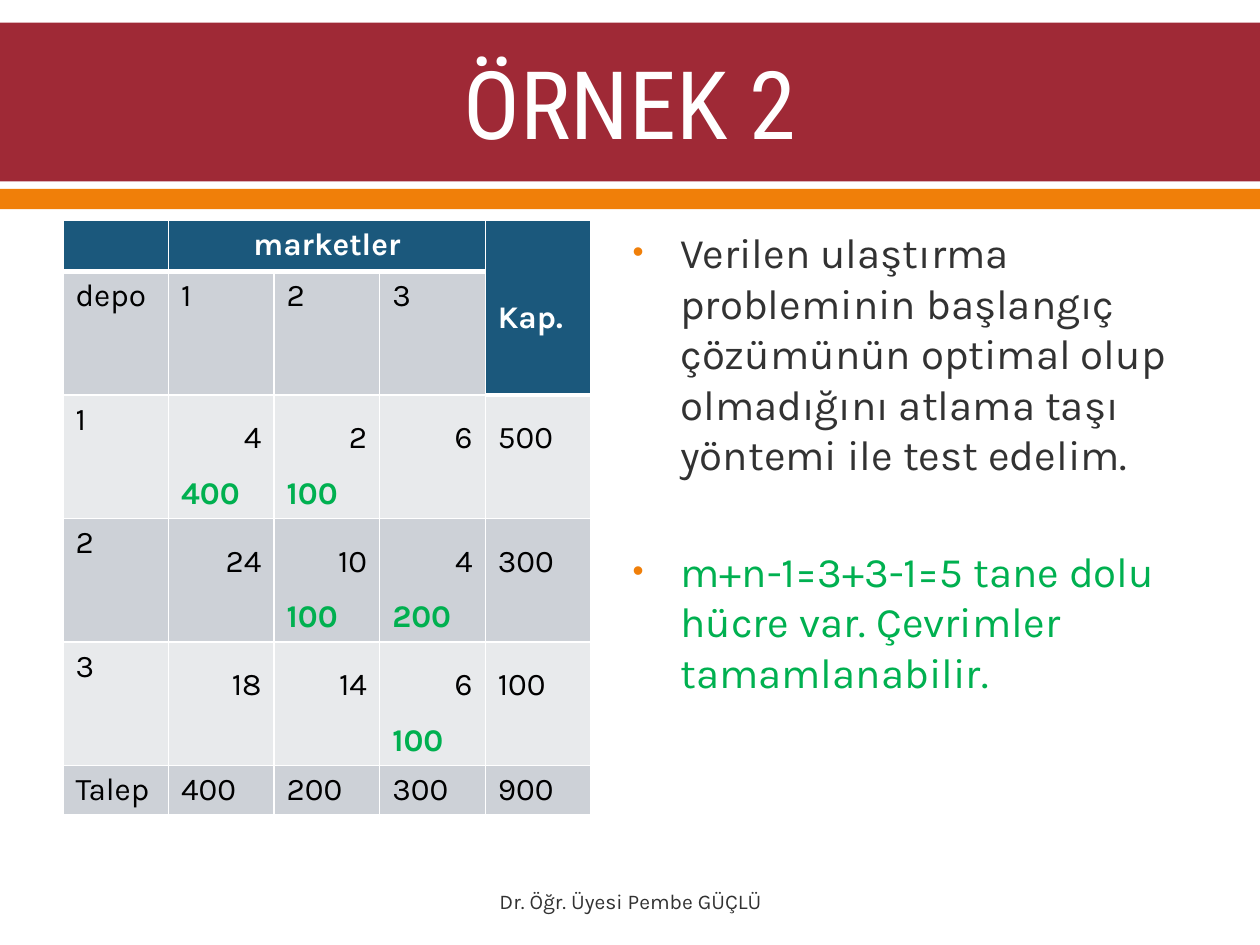
from collections import namedtuple
from dataclasses import dataclass

from lxml import etree
from pptx import Presentation
from pptx import util as u
from pptx.dml import color
from pptx.enum import shapes, text
from pptx.oxml import ns

Box = namedtuple("Box", "left top width height")


@dataclass(frozen=True)
class Theme:
    heading_font: str = "Roboto Condensed"
    body_font: str = "Karla"
    title_size: int = 54
    body_size: int = 24
    table_size: int = 18
    footer_size: int = 12
    white: str = "FFFFFF"
    black: str = "000000"
    dark: str = "323232"
    red: str = "9F2936"
    orange: str = "F07F09"
    blue: str = "1B587C"
    green: str = "00B050"
    bands: tuple = ("E8EAEC", "CDD1D7")


THEME = Theme()
LEFT, CENTER, RIGHT = text.PP_ALIGN.LEFT, text.PP_ALIGN.CENTER, text.PP_ALIGN.RIGHT

COSTS = [[4, 2, 6], [24, 10, 4], [18, 14, 6]]
SHIPMENTS = [[400, 100, None], [None, 100, 200], [None, None, 100]]
CAPACITIES = [500, 300, 100]
DEMANDS = [400, 200, 300]
REMARKS = [
    ("Verilen ulaştırma probleminin başlangıç çözümünün optimal olup "
     "olmadığını atlama taşı yöntemi ile test edelim.", THEME.dark, 0),
    ("m+n-1=3+3-1=5 tane dolu hücre var. Çevrimler tamamlanabilir.",
     THEME.green, 38),
]


def inches(*values):
    return Box(*(u.Inches(value) for value in values))


def rgb(value):
    return color.RGBColor.from_string(value)


def move(shape, box):
    shape.left, shape.top, shape.width, shape.height = box


def add_span(para, words, size, tint, font=THEME.body_font, bold=False):
    span = para.add_run()
    span.text = str(words)
    span.font.name = font
    span.font.size = u.Pt(size)
    span.font.bold = bold
    span.font.color.rgb = rgb(tint)


def add_bars(page, bars):
    for order, (box, tint) in enumerate(bars):
        bar = page.shapes.add_shape(shapes.MSO_SHAPE.RECTANGLE, *box)
        bar.shadow.inherit = False
        bar.fill.solid()
        bar.fill.fore_color.rgb = rgb(tint)
        bar.line.fill.background()
        page.shapes._spTree.insert(2 + order, bar._element)


def fill_title(page, box):
    title = page.shapes.title
    move(title, box)
    frame = title.text_frame
    frame.auto_size = text.MSO_AUTO_SIZE.NONE
    frame.vertical_anchor = text.MSO_ANCHOR.MIDDLE
    para = frame.paragraphs[0]
    para.alignment = CENTER
    add_span(para, "ÖRNEK 2", THEME.title_size, THEME.white, THEME.heading_font)


def add_bullet(para):
    props = para._p.get_or_add_pPr()
    props.set("marL", str(u.Inches(0.38)))
    props.set("indent", str(-u.Inches(0.38)))
    tint = etree.SubElement(props, ns.qn("a:buClr"))
    etree.SubElement(tint, ns.qn("a:srgbClr"), val=THEME.orange)
    etree.SubElement(props, ns.qn("a:buSzPct"), val="75000")
    etree.SubElement(props, ns.qn("a:buFont"), typeface="Arial")
    etree.SubElement(props, ns.qn("a:buChar"), char="•")


def fill_remarks(page, box):
    body = page.placeholders[1]
    move(body, box)
    frame = body.text_frame
    frame.auto_size = text.MSO_AUTO_SIZE.NONE
    for order, (words, tint, gap) in enumerate(REMARKS):
        para = frame.add_paragraph() if order else frame.paragraphs[0]
        add_bullet(para)
        para.space_before = u.Pt(gap)
        add_span(para, words, THEME.body_size, tint)


def add_border(cell, side, width):
    line = etree.SubElement(cell._tc.get_or_add_tcPr(), ns.qn(f"a:ln{side}"),
                            w=str(u.Pt(width)))
    fill = etree.SubElement(line, ns.qn("a:solidFill"))
    etree.SubElement(fill, ns.qn("a:srgbClr"), val=THEME.white)


def style_cell(cell, row, column):
    header_ends = {(0, 0), (0, 1), (0, 2), (0, 3), (1, 4)}
    top = 3 if (row - 1, column) in header_ends else 1
    bottom = 3 if (row, column) in header_ends else 1
    for side, width in zip("LRTB", (1, 1, top, bottom)):
        add_border(cell, side, width)
    is_header = row == 0 or (row, column) in header_ends
    cell.fill.solid()
    cell.fill.fore_color.rgb = rgb(THEME.blue if is_header else THEME.bands[row % 2])


def write_cell(cell, words, align=LEFT, tint=THEME.black, bold=False, spacing=1.0):
    frame = cell.text_frame
    para = frame.add_paragraph() if frame.text else frame.paragraphs[0]
    para.alignment = align
    para.line_spacing = spacing
    add_span(para, words, THEME.table_size, tint, bold=bold)


def add_transport_table(page, box):
    table = page.shapes.add_table(6, 5, *box).table
    table.first_row = table.horz_banding = False
    for column in table.columns:
        column.width = int(box.width / 5)
    edge_height = u.Inches(0.39)
    for order, row in enumerate(table.rows):
        is_edge = order in (0, 5)
        row.height = edge_height if is_edge else int((box.height - 2 * edge_height) / 4)
    for row in range(6):
        for column in range(5):
            style_cell(table.cell(row, column), row, column)

    markets, capacity = table.cell(0, 1), table.cell(0, 4)
    markets.merge(table.cell(0, 3))
    capacity.merge(table.cell(1, 4))
    capacity.margin_top = u.Inches(0.63)
    write_cell(markets, "marketler", CENTER, THEME.white, True)
    write_cell(capacity, "Kap.", LEFT, THEME.white, True)

    for column, words in enumerate(["depo", 1, 2, 3]):
        write_cell(table.cell(1, column), words)
    for row, (costs, amounts, limit) in enumerate(zip(COSTS, SHIPMENTS, CAPACITIES), 2):
        write_cell(table.cell(row, 0), row - 1)
        for column, (cost, amount) in enumerate(zip(costs, amounts), 1):
            cell = table.cell(row, column)
            write_cell(cell, cost, RIGHT, spacing=1.5)
            if amount is not None:
                write_cell(cell, amount, LEFT, THEME.green, True, 1.5)
        write_cell(table.cell(row, 4), limit, spacing=1.5)
    for column, words in enumerate(["Talep", *DEMANDS, sum(DEMANDS)]):
        write_cell(table.cell(5, column), words)


def add_footer(page, box):
    frame = page.shapes.add_textbox(*box).text_frame
    frame.word_wrap = True
    frame.vertical_anchor = text.MSO_ANCHOR.MIDDLE
    para = frame.paragraphs[0]
    para.alignment = CENTER
    add_span(para, "Dr. Öğr. Üyesi Pembe GÜÇLÜ", THEME.footer_size, THEME.dark)


def main():
    deck = Presentation()
    deck.slide_width, deck.slide_height = u.Inches(10), u.Inches(7.5)
    page = deck.slides.add_slide(deck.slide_layouts[1])
    add_bars(page, [(inches(0, 0.18, 10, 1.26), THEME.red),
                    (inches(0, 1.5, 10, 0.16), THEME.orange)])
    fill_title(page, inches(0.5, 0.2, 9, 1.22))
    add_transport_table(page, inches(0.5, 1.75, 4.19, 4.7))
    fill_remarks(page, inches(4.92, 1.75, 4.58, 4.91))
    add_footer(page, inches(3.42, 6.95, 3.17, 0.4))
    deck.save("out.pptx")


if __name__ == "__main__":
    main()
